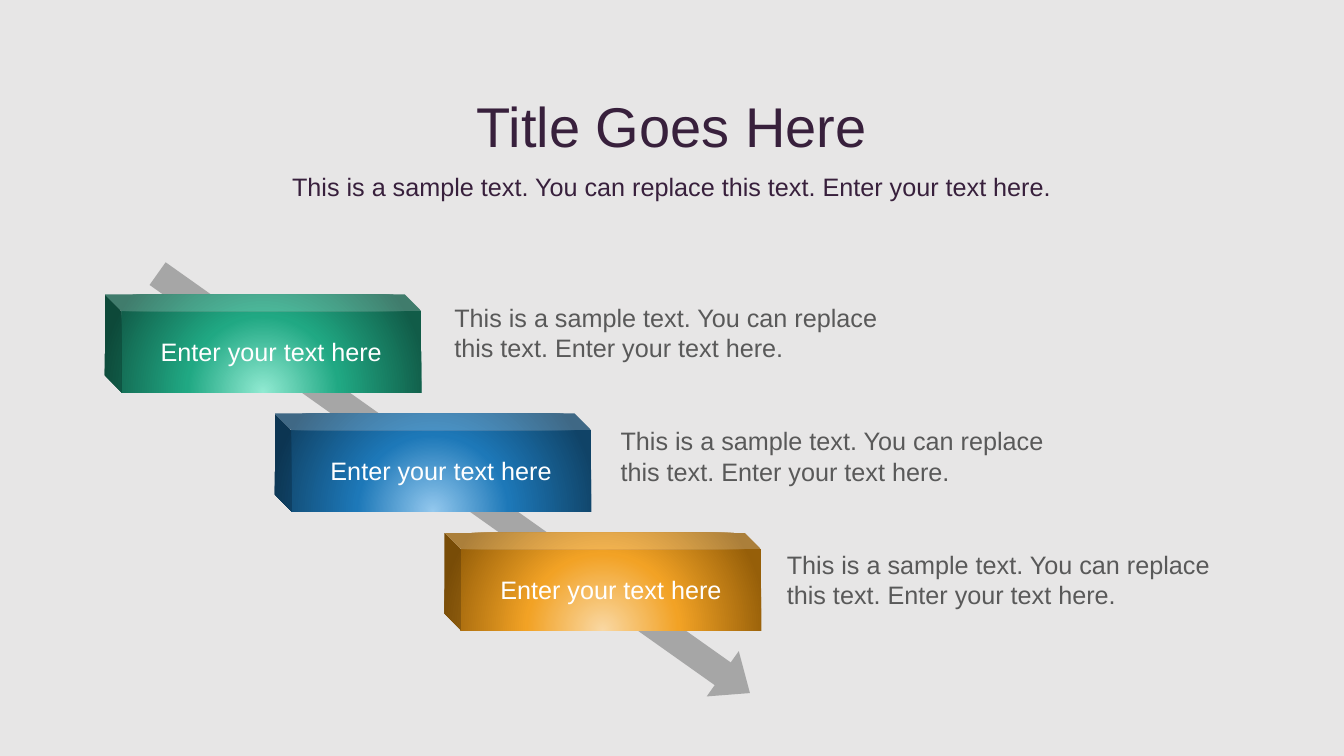
"""Build a slide with three stepped blocks along a descending arrow."""
from dataclasses import dataclass

from pptx import Presentation
from pptx.dml.color import RGBColor
from pptx.enum.shapes import MSO_SHAPE
from pptx.enum.text import MSO_ANCHOR, MSO_AUTO_SIZE, PP_ALIGN
from pptx.oxml import parse_xml
from pptx.oxml.ns import nsdecls, qn
from pptx.shapes.autoshape import Shape
from pptx.slide import Slide
from pptx.text.text import TextFrame
from pptx.util import Cm, Pt

ARROW = MSO_SHAPE.RIGHT_ARROW
CUBE = MSO_SHAPE.CUBE
MIDDLE = MSO_ANCHOR.MIDDLE
TOP = MSO_ANCHOR.TOP
CENTER = PP_ALIGN.CENTER
LEFT = PP_ALIGN.LEFT
NO_FIT = MSO_AUTO_SIZE.NONE
GROW = MSO_AUTO_SIZE.SHAPE_TO_FIT_TEXT

TITLE = "Title Goes Here"
SAMPLE = "This is a sample text. You can replace this text. Enter your text here."
LABEL = "Enter your text here"


@dataclass(frozen=True)
class Theme:
    """Colours and type sizes of the slide."""

    font: str = "Arial"
    background: str = "E7E6E6"
    heading: str = "38203C"
    caption: str = "595959"
    label: str = "FFFFFF"
    arrow: str = "A6A6A6"
    title_size: int = 40
    body_size: int = 18


@dataclass(frozen=True)
class Step:
    """One block with its caption and its gradient from centre to edge."""

    label: str
    caption: str
    glow: str
    base: str
    shade: str


THEME = Theme()
STEPS = (
    Step(LABEL, SAMPLE, "91EAD2", "20A883", "115C48"),
    Step(LABEL, SAMPLE, "93C8EE", "1D78B8", "104367"),
    Step(LABEL, SAMPLE, "F9D8A3", "F2A225", "965F09"),
)


def write(frame: TextFrame, text: str, *, color: str, size: int = THEME.body_size,
          align: PP_ALIGN = LEFT, before: float = 0, new: bool = False) -> None:
    """Write one formatted paragraph into the frame."""
    para = frame.add_paragraph() if new else frame.paragraphs[0]
    para.alignment = align
    para.space_before = Pt(before)
    para.line_spacing = 1.0
    span = para.add_run()
    span.text = text
    span.font.name = THEME.font
    span.font.size = Pt(size)
    span.font.color.rgb = RGBColor.from_string(color)


def prepare(frame: TextFrame, anchor: MSO_ANCHOR, fit: MSO_AUTO_SIZE) -> None:
    """Set wrapping, anchor and fitting of a text frame."""
    frame.word_wrap = True
    frame.vertical_anchor = anchor
    frame.auto_size = fit


def add_heading(page: Slide) -> None:
    """Place the title and its subtitle in the title placeholder."""
    box = page.shapes.title
    box.left, box.top, box.width, box.height = Cm(2.08), Cm(1.83), Cm(29.69), Cm(3.71)
    frame = box.text_frame
    prepare(frame, MIDDLE, NO_FIT)
    write(frame, TITLE, color=THEME.heading, size=THEME.title_size, align=CENTER)
    write(frame, SAMPLE, color=THEME.heading, align=CENTER, before=9.2, new=True)


def add_arrow(page: Slide) -> None:
    """Draw the descending arrow behind the blocks."""
    arrow = page.shapes.add_shape(ARROW, Cm(2.29), Cm(11.48), Cm(18.29), Cm(1.4))
    arrow.adjustments[0] = 0.5
    arrow.adjustments[1] = 0.6
    arrow.rotation = 35.3
    arrow.shadow.inherit = False
    arrow.fill.solid()
    arrow.fill.fore_color.rgb = RGBColor.from_string(THEME.arrow)
    arrow.line.fill.background()


def fill_glow(block: Shape, step: Step) -> None:
    """Fill a block with a circular gradient centred below its front."""
    stops = "".join(
        f'<a:gs pos="{percent * 1000}"><a:srgbClr val="{color}"/></a:gs>'
        for percent, color in ((0, step.glow), (46, step.base), (100, step.shade))
    )
    block.fill.gradient()
    properties = block.element.spPr
    gradient = parse_xml(
        f'<a:gradFill {nsdecls("a")} rotWithShape="1"><a:gsLst>{stops}</a:gsLst>'
        '<a:path path="circle"><a:fillToRect l="50000" t="130000" r="50000" b="-30000"/>'
        "</a:path></a:gradFill>"
    )
    properties.replace(properties.find(qn("a:gradFill")), gradient)


def add_block(page: Slide, step: Step, index: int) -> None:
    """Draw one mirrored cube with its label."""
    block = page.shapes.add_shape(
        CUBE, Cm(2.64 + 4.28 * index), Cm(7.42 + 3 * index), Cm(7.98), Cm(2.46))
    block.adjustments[0] = 0.17
    block.element.spPr.find(qn("a:xfrm")).set("flipH", "1")
    block.shadow.inherit = False
    block.line.fill.background()
    fill_glow(block, step)
    prepare(block.text_frame, MIDDLE, NO_FIT)
    write(block.text_frame, step.label, color=THEME.label, align=CENTER)


def add_caption(page: Slide, step: Step, index: int) -> None:
    """Place the caption to the right of a block."""
    box = page.shapes.add_textbox(
        Cm(11.2 + 4.19 * index), Cm(7.49 + 3.11 * index), Cm(12.09), Cm(2.57))
    prepare(box.text_frame, TOP, GROW)
    write(box.text_frame, step.caption, color=THEME.caption)


def main() -> None:
    """Build and save the deck."""
    deck = Presentation()
    deck.slide_width, deck.slide_height = Cm(33.87), Cm(19.05)
    page = deck.slides.add_slide(deck.slide_layouts.get_by_name("Title Only"))
    page.background.fill.solid()
    page.background.fill.fore_color.rgb = RGBColor.from_string(THEME.background)
    add_heading(page)
    add_arrow(page)
    for index, step in enumerate(STEPS):
        add_block(page, step, index)
        add_caption(page, step, index)
    deck.save("out.pptx")


if __name__ == "__main__":
    main()
